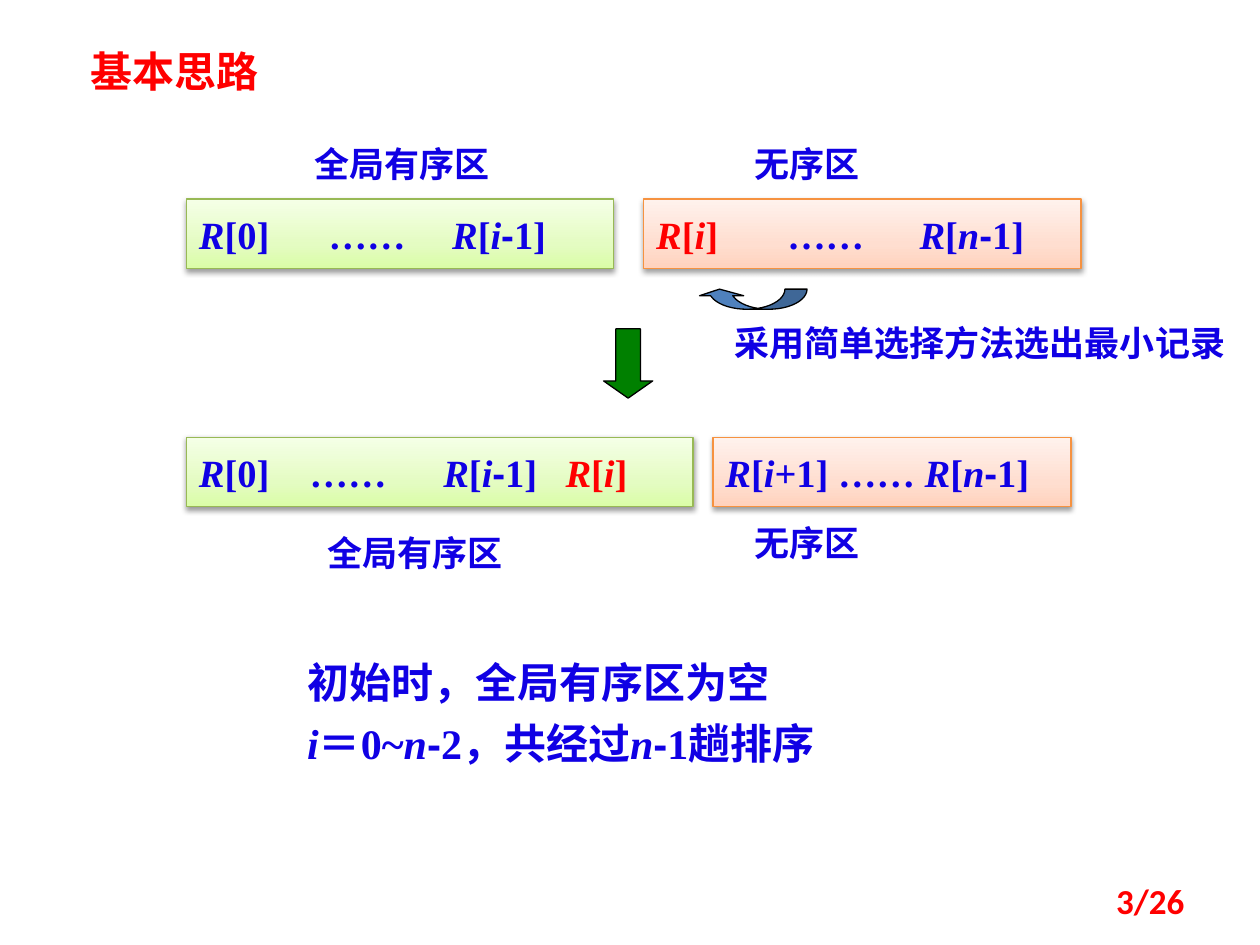
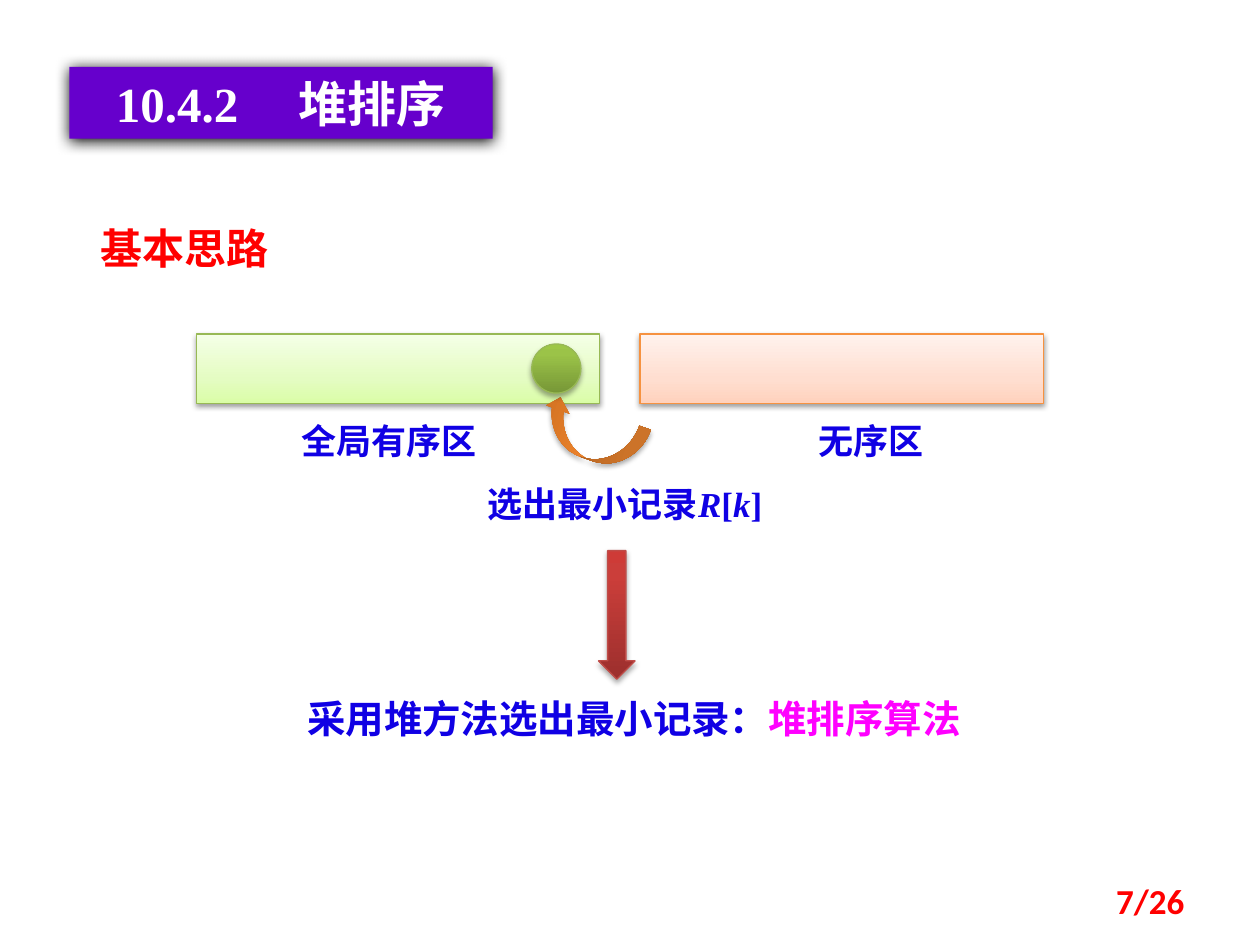
from lxml.etree import SubElement
from pptx import Presentation
from pptx.dml.color import RGBColor
from pptx.enum.shapes import MSO_SHAPE
from pptx.enum.text import MSO_ANCHOR, MSO_AUTO_SIZE, PP_ALIGN
from pptx.oxml.ns import qn
from pptx.util import Inches, Pt

BLUE, RED, MAGENTA = "1000E4", "FF0000", "FF00FF"
WHITE, BLACK, PURPLE = "FFFFFF", "000000", "6600CC"
CJK, SERIF = "Noto Sans CJK SC", "Times New Roman"
GREEN_GRADIENT = [(0, "DAFDA7"), (35, "E4FCC2"), (100, "F5FFE7")]
ORANGE_GRADIENT = [(0, "FFD2BD"), (35, "FFDED0"), (100, "FFF2ED")]
SORTED_ZONE = (GREEN_GRADIENT, "98B955")
UNSORTED_ZONE = (ORANGE_GRADIENT, "F69240")
ZONE_HEIGHT = 0.55
SORTED_LABEL, UNSORTED_LABEL = "全局有序区", "无序区"
HEADING = "基本思路"
PAGE_COUNT = 26


def rgb(value):
    return RGBColor.from_string(value)


def set_tabs(paragraph, stops):
    tab_list = SubElement(paragraph._p.get_or_add_pPr(), qn("a:tabLst"))
    for stop in stops:
        SubElement(tab_list, qn("a:tab"), pos=str(Inches(stop)), algn="l")


def add_runs(paragraph, text, color=None):
    for index, part in enumerate(text.split("_")):
        for position, piece in enumerate(part.split("-")):
            for content, face in (("-", "Arial"), (piece, None)):
                if not content or (face and position == 0):
                    continue
                run = paragraph.add_run()
                run.text = content
                if index % 2:
                    run.font.italic = True
                if face:
                    run.font.name = face
                if color:
                    run.font.color.rgb = rgb(color)


def write(paragraph, segments, size, color=BLUE, align=PP_ALIGN.LEFT, tabs=(), face=SERIF):
    paragraph.alignment = align
    if tabs:
        set_tabs(paragraph, tabs)
    font = paragraph.font
    font.size, font.bold, font.name = Pt(size), True, face
    font.color.rgb = rgb(color)
    defaults = paragraph._p.pPr.find(qn("a:defRPr"))
    SubElement(defaults, qn("a:ea"), typeface=CJK)
    if isinstance(segments, str):
        segments = [(segments, None)]
    for text, accent in segments:
        add_runs(paragraph, text, accent)


def add_text(slide, place, *lines, size=20, gap=0, anchor=MSO_ANCHOR.TOP, **style):
    frame = slide.shapes.add_textbox(*map(Inches, place)).text_frame
    frame.word_wrap = True
    frame.vertical_anchor = anchor
    for index, line in enumerate(lines):
        paragraph = frame.add_paragraph() if index else frame.paragraphs[0]
        if index:
            paragraph.space_before = Pt(gap)
        write(paragraph, line, size, **style)


def paint(shape, fill, line=None):
    if isinstance(fill, str):
        shape.fill.solid()
        shape.fill.fore_color.rgb = rgb(fill)
    else:
        shape.fill.gradient()
        shape.fill.gradient_angle = 90
        stops = shape._element.spPr.find(qn("a:gradFill")).find(qn("a:gsLst"))
        stops.clear()
        for percent, color in fill:
            stop = SubElement(stops, qn("a:gs"), pos=str(percent * 1000))
            SubElement(stop, qn("a:srgbClr"), val=color)
    if line:
        shape.line.color.rgb = rgb(line)
        shape.line.width = Pt(0.75)
    else:
        shape.line.fill.background()


def cast_shadow(shape, opacity, blur, distance):
    shape.shadow.inherit = False
    effects = shape._element.spPr.find(qn("a:effectLst"))
    shadow = SubElement(effects, qn("a:outerShdw"), blurRad=str(Pt(blur)),
                        dist=str(Pt(distance)), dir="5400000", algn="ctr", rotWithShape="0")
    color = SubElement(shadow, qn("a:srgbClr"), val=BLACK)
    SubElement(color, qn("a:alpha"), val=str(opacity * 1000))


def add_figure(slide, preset, place, fill, line=None, shadow=None, rotation=0, adjust=()):
    figure = slide.shapes.add_shape(preset, *map(Inches, place))
    paint(figure, fill, line)
    figure.shadow.inherit = False
    if shadow:
        cast_shadow(figure, *shadow)
    figure.rotation = rotation
    for index, value in enumerate(adjust):
        figure.adjustments[index] = value
    return figure


def add_zone(slide, left, top, width, look, records=None, tabs=()):
    zone = add_figure(slide, MSO_SHAPE.RECTANGLE, (left, top, width, ZONE_HEIGHT),
                      *look, shadow=(38, 3.1, 1.6))
    if records:
        frame = zone.text_frame
        frame.vertical_anchor = MSO_ANCHOR.MIDDLE
        write(frame.paragraphs[0], records, 22, tabs=tabs)


def set_title(slide, place, text, size, color, tabs=()):
    title = slide.shapes.title
    title.left, title.top, title.width, title.height = map(Inches, place)
    frame = title.text_frame
    frame.auto_size = MSO_AUTO_SIZE.NONE
    frame.vertical_anchor = MSO_ANCHOR.MIDDLE
    write(frame.paragraphs[0], text, size, color=color, tabs=tabs)
    return title


def new_slide(deck, number):
    slide = deck.slides.add_slide(deck.slide_layouts[5])
    add_text(slide, (7.17, 6.95, 2.33, 0.4), f"{number}/{PAGE_COUNT}", color=RED,
             align=PP_ALIGN.RIGHT, face="Calibri", anchor=MSO_ANCHOR.MIDDLE)
    return slide


def build_selection_slide(deck):
    slide = new_slide(deck, 3)
    set_title(slide, (0.62, 0.31, 1.8, 0.5), HEADING, 24, RED)

    before, after = 1.58, 3.47
    add_zone(slide, 1.48, before, 3.39, SORTED_ZONE, "_R_[0]\t……\t_R_[_i_-1]", (1.03, 2.01))
    add_zone(slide, 5.11, before, 3.47, UNSORTED_ZONE,
             [("_R_[_i_]", RED), ("\t……\t_R_[_n_-1]", BLUE)], (1.04, 2.09))
    add_zone(slide, 1.48, after, 4.02, SORTED_ZONE,
             [("_R_[0]\t……\t_R_[_i_-1]\t", BLUE), ("_R_[_i_]", RED)], (0.88, 1.94, 2.91))
    add_zone(slide, 5.66, after, 2.84, UNSORTED_ZONE, "_R_[_i_+1] …… _R_[_n_-1]")

    for text, left, top, width in (
        (SORTED_LABEL, 2.4, 1.08, 1.7), (UNSORTED_LABEL, 5.89, 1.08, 1.26),
        (SORTED_LABEL, 2.5, 4.17, 1.7), (UNSORTED_LABEL, 5.89, 4.09, 1.26),
        ("采用简单选择方法选出最小记录", 5.73, 2.5, 4.19),
    ):
        add_text(slide, (left, top, width, 0.44), text)

    add_figure(slide, MSO_SHAPE.CURVED_LEFT_ARROW, (5.89, 1.94, 0.16, 0.87), "4F81BD",
               BLACK, rotation=90, adjust=(1.1, 2.19, 0.33))
    add_figure(slide, MSO_SHAPE.DOWN_ARROW, (4.79, 2.61, 0.39, 0.55), "008000",
               BLACK, adjust=(0.5, 0.35))
    add_text(slide, (2.34, 5.16, 5.43, 1.11), "初始时，全局有序区为空",
             "_i_＝0~_n_-2，共经过_n_-1趟排序", size=24, gap=6)


def build_heap_slide(deck):
    slide = new_slide(deck, 7)
    banner = set_title(slide, (0.55, 0.53, 3.36, 0.57), "10.4.2\t堆排序", 28, WHITE, (1.45,))
    banner.text_frame.margin_left = Inches(0.37)
    paint(banner, PURPLE)
    cast_shadow(banner, 100, 8.5, 1)
    add_text(slide, (0.7, 1.72, 2.11, 0.5), HEADING, size=24, color=RED)

    for left, look in ((1.56, SORTED_ZONE), (5.08, UNSORTED_ZONE)):
        add_zone(slide, left, 2.65, 3.2, look)
    for text, left, top, width in (
        (SORTED_LABEL, 2.27, 3.28, 1.64), (UNSORTED_LABEL, 6.09, 3.28, 1.64),
        ("选出最小记录_R_[_k_]", 3.67, 3.78, 2.58),
    ):
        add_text(slide, (left, top, width, 0.44), text, align=PP_ALIGN.CENTER)

    deep_shadow = (35, 3.1, 1.8)
    add_figure(slide, MSO_SHAPE.CURVED_LEFT_ARROW, (4.5, 3.02, 0.39, 0.86),
               [(0, "CC6E20"), (80, "FF9034"), (100, "FF9136")],
               shadow=deep_shadow, rotation=109.7)
    add_figure(slide, MSO_SHAPE.OVAL, (4.22, 2.73, 0.39, 0.39),
               [(0, "779737"), (80, "9BC348"), (100, "9DC746")], "98B955", deep_shadow)
    add_figure(slide, MSO_SHAPE.DOWN_ARROW, (4.75, 4.37, 0.29, 1.02),
               [(0, "9C2F2D"), (80, "CB3E3A"), (100, "CE3B37")], "BF4C48", deep_shadow)
    add_text(slide, (2.34, 5.47, 5.63, 0.47),
             [("采用堆方法选出最小记录：", BLUE), ("堆排序算法", MAGENTA)], size=22)


def main():
    deck = Presentation()
    deck.slide_width, deck.slide_height = Inches(10), Inches(7.5)
    build_selection_slide(deck)
    build_heap_slide(deck)
    deck.save("out.pptx")


if __name__ == "__main__":
    main()
